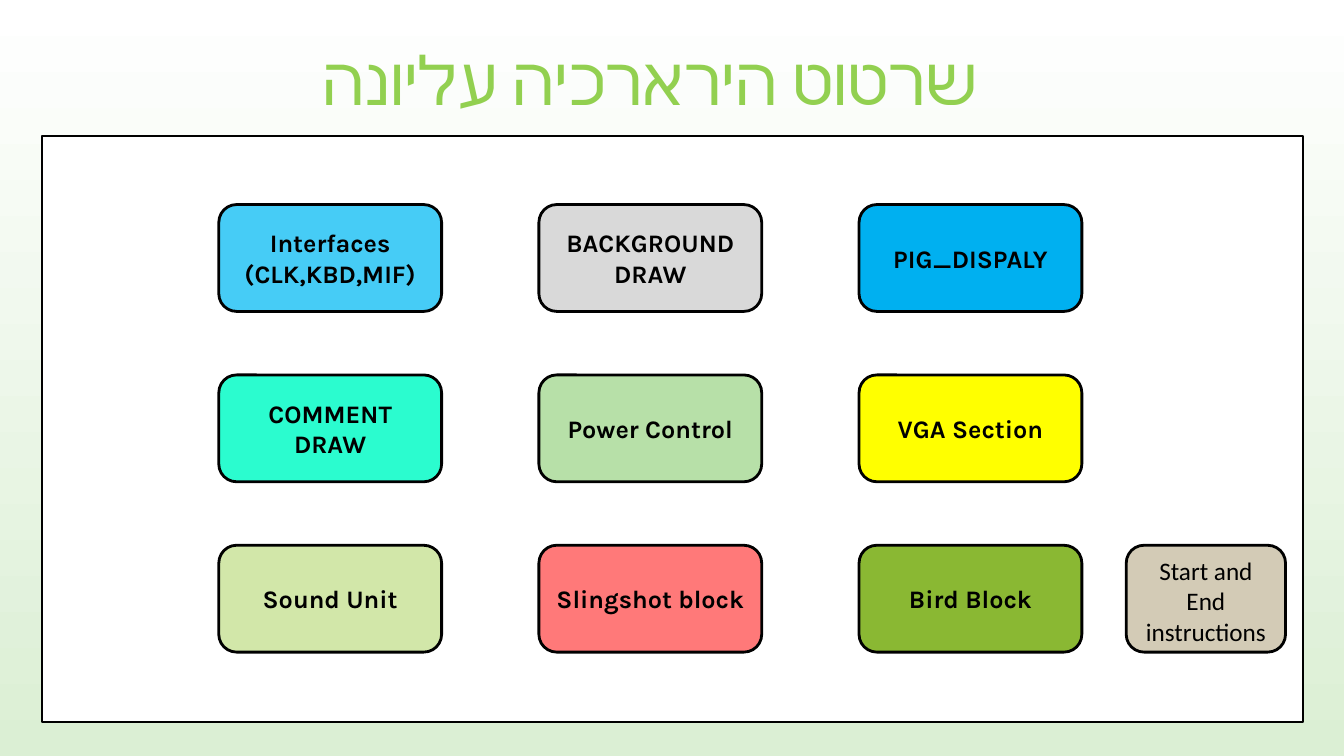
"""Build the top-level hierarchy slide: a framed grid of coloured blocks."""
from lxml import etree
from pptx import Presentation, util as u
from pptx.dml.color import RGBColor
from pptx.enum import shapes, text
from pptx.oxml.ns import qn

TITLE = "שרטוט הירארכיה עליונה"
BACKGROUND = ("FFFFFF", "DBEFD4")
BLOCKS = [
    [("Interfaces\n(CLK,KBD,MIF)", "46CCF6"), ("BACKGROUND DRAW", "D9D9D9"), ("PIG_DISPALY", "00B0F0")],
    [("COMMENT DRAW", "2BFCCF"), ("Power Control", "B7E0A8"), ("VGA Section", "FFFF00")],
    [("Sound Unit", "D2E7A9"), ("Slingshot block", "FF7979"), ("Bird Block", "8AB833")],
]
INSTRUCTIONS = ("Start and End instructions", "D3CBB6")
LEFT, TOP, COL_STEP, ROW_STEP = 2.17, 2.03, 3.175, 1.69
BLOCK_W, BLOCK_H = 2.21, 1.06
SIDE_LEFT, SIDE_W = 11.17, 1.58


def rgb(value):
    return RGBColor.from_string(value)


def write(tf, words, size, font, color, bold=False):
    tf.word_wrap = True
    tf.text = words
    for p in tf.paragraphs:
        p.alignment = text.PP_ALIGN.CENTER
        for r in p.runs:
            r.font.size, r.font.name, r.font.bold = u.Pt(size), font, bold
            r.font.color.rgb = rgb(color)
            etree.SubElement(r.font._element, qn("a:cs")).set("typeface", font)


def add_box(slide, kind, box, fill, weight):
    sp = slide.shapes.add_shape(kind, *map(u.Inches, box))
    sp.shadow.inherit = False
    sp.fill.solid()
    sp.fill.fore_color.rgb = rgb(fill)
    sp.line.color.rgb = rgb("000000")
    sp.line.width = u.Pt(weight)
    return sp


def add_block(slide, box, words, fill, font="Karla", bold=True, anchor=text.MSO_ANCHOR.MIDDLE):
    sp = add_box(slide, shapes.MSO_SHAPE.ROUNDED_RECTANGLE, box, fill, 2)
    write(sp.text_frame, words, 18, font, "000000", bold)
    sp.text_frame.vertical_anchor = anchor


def main():
    prs = Presentation()
    prs.slide_width, prs.slide_height = u.Inches(13.33), u.Inches(7.5)
    slide = prs.slides.add_slide(prs.slide_layouts[6])
    fill = slide.background.fill
    fill.gradient()
    fill.gradient_angle = 270
    for stop, color in zip(fill.gradient_stops, BACKGROUND):
        stop.color.rgb = rgb(color)

    add_box(slide, shapes.MSO_SHAPE.RECTANGLE, (0.42, 1.35, 12.5, 5.81), "FFFFFF", 1.5)
    title = slide.shapes.add_textbox(*map(u.Inches, (2.99, 0.33, 6.92, 1.7)))
    write(title.text_frame, TITLE, 48, "Roboto Condensed", "92D050")

    for row, blocks in enumerate(BLOCKS):
        for col, (words, color) in enumerate(blocks):
            box = (LEFT + col * COL_STEP, TOP + row * ROW_STEP, BLOCK_W, BLOCK_H)
            add_block(slide, box, words, color)
    side = (SIDE_LEFT, TOP + 2 * ROW_STEP, SIDE_W, BLOCK_H)
    add_block(slide, side, *INSTRUCTIONS, "Calibri", False, text.MSO_ANCHOR.TOP)
    prs.save("out.pptx")


if __name__ == "__main__":
    main()
